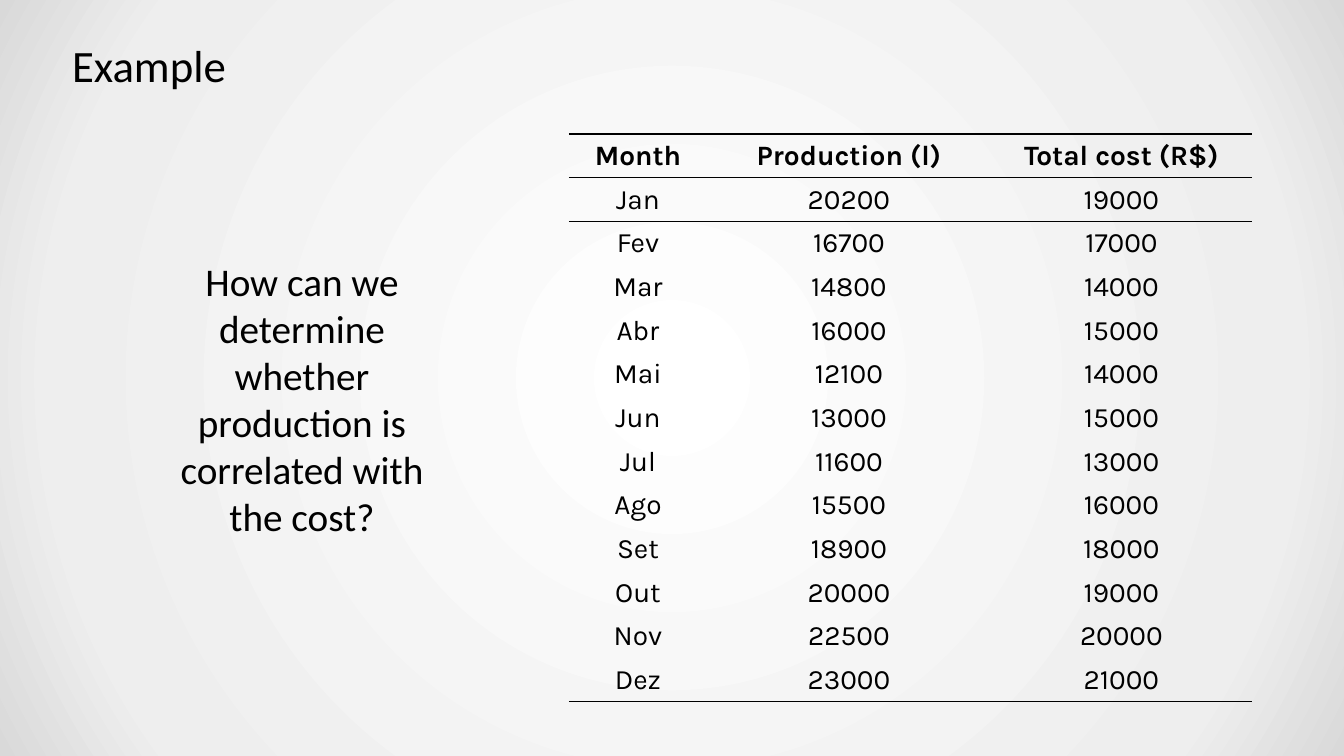
"""Build the production and cost example slide."""
from dataclasses import dataclass

from pptx import Presentation
from pptx.dml.color import RGBColor
from pptx.enum.text import MSO_ANCHOR as Anchor, MSO_AUTO_SIZE as AutoSize, PP_ALIGN as Align
from pptx.oxml import parse_xml
from pptx.oxml.ns import nsdecls
from pptx.util import Pt

WIDTH, HEIGHT = 1344, 756
SCALE = 12192000 / WIDTH
NO_STYLE = "{2D5ABB26-0587-4C30-8999-92F81FD0307C}"

HEADINGS = ("Month", "Production (l)", "Total cost (R$)")
MONTHS = (
    ("Jan", 20200, 19000),
    ("Fev", 16700, 17000),
    ("Mar", 14800, 14000),
    ("Abr", 16000, 15000),
    ("Mai", 12100, 14000),
    ("Jun", 13000, 15000),
    ("Jul", 11600, 13000),
    ("Ago", 15500, 16000),
    ("Set", 18900, 18000),
    ("Out", 20000, 19000),
    ("Nov", 22500, 20000),
    ("Dez", 23000, 21000),
)


@dataclass(frozen=True)
class Theme:
    """Colours, fonts and type sizes."""

    ink: str = "000000"
    backdrop: tuple = ((0, "FFFFFF"), (81, "EEEEEE"), (100, "D9D9D9"))
    body_font: str = "Calibri"
    table_font: str = "Karla"
    title_size: int = 32
    question_size: int = 28
    table_size: int = 20
    rule_width: int = 1


def px(length):
    """Turn px into EMU."""
    return round(length * SCALE)


class SlideBuilder:
    """Draw styled elements on one slide."""

    def __init__(self, page, theme):
        """Keep the slide and its style."""
        self.page = page
        self.theme = theme

    def backdrop(self):
        """Fill the background with a circular gradient."""
        stops = "".join(
            f'<a:gs pos="{place * 1000}"><a:srgbClr val="{colour}"/></a:gs>'
            for place, colour in self.theme.backdrop
        )
        self.page.element.cSld.insert(0, parse_xml(
            f'<p:bg {nsdecls("p", "a")}><p:bgPr><a:gradFill rotWithShape="1">'
            f'<a:gsLst>{stops}</a:gsLst><a:path path="circle">'
            '<a:fillToRect l="50000" t="50000" r="50000" b="50000"/></a:path>'
            '</a:gradFill><a:effectLst/></p:bgPr></p:bg>'
        ))

    def span(self, para, words, size, font, bold=False):
        """Add one styled run."""
        span = para.add_run()
        span.text = words
        span.font.size = Pt(size)
        span.font.name = font
        span.font.bold = bold
        span.font.color.rgb = RGBColor.from_string(self.theme.ink)

    def title(self, words, left, top, width, height):
        """Place and format the title placeholder."""
        box = self.page.shapes.title
        box.left, box.top, box.width, box.height = map(px, (left, top, width, height))
        frame = box.text_frame
        frame.auto_size = AutoSize.NONE
        frame.vertical_anchor = Anchor.MIDDLE
        frame.margin_left = frame.margin_right = px(13)
        frame.margin_top = frame.margin_bottom = px(7)
        para = frame.paragraphs[0]
        para.alignment = Align.LEFT
        self.span(para, words, self.theme.title_size, self.theme.body_font)

    def text(self, words, left, top, width, height):
        """Add a centred text box."""
        box = self.page.shapes.add_textbox(*map(px, (left, top, width, height)))
        frame = box.text_frame
        frame.word_wrap = True
        frame.auto_size = AutoSize.SHAPE_TO_FIT_TEXT
        para = frame.paragraphs[0]
        para.alignment = Align.CENTER
        self.span(para, words, self.theme.question_size, self.theme.body_font)

    def border(self, cell, side):
        """Rule one side of a cell."""
        cell._tc.get_or_add_tcPr().append(parse_xml(
            f'<a:{side} {nsdecls("a")} w="{Pt(self.theme.rule_width)}"><a:solidFill>'
            f'<a:srgbClr val="{self.theme.ink}"/></a:solidFill></a:{side}>'
        ))

    def cell(self, cell, words, bold):
        """Fill one table cell with centred text."""
        cell.fill.background()
        cell.vertical_anchor = Anchor.BOTTOM
        para = cell.text_frame.paragraphs[0]
        para.alignment = Align.CENTER
        self.span(para, words, self.theme.table_size, self.theme.table_font, bold)

    def table(self, rows, left, top, widths, height):
        """Add a table ruled around its header and at its foot."""
        frame = self.page.shapes.add_table(
            len(rows), len(widths), *map(px, (left, top, sum(widths), height))
        )
        table = frame.table
        table.first_row = table.horz_banding = False
        table._tbl.tblPr[0].text = NO_STYLE
        for column, width in zip(table.columns, widths):
            column.width = px(width)
        for r, row in enumerate(rows):
            for c, value in enumerate(row):
                cell = table.cell(r, c)
                if r in (0, 1):
                    self.border(cell, "lnT")
                if r in (0, len(rows) - 1):
                    self.border(cell, "lnB")
                self.cell(cell, str(value), bold=r == 0)


def main():
    """Build and save the deck."""
    deck = Presentation()
    deck.slide_width, deck.slide_height = px(WIDTH), px(HEIGHT)
    slide = SlideBuilder(deck.slides.add_slide(deck.slide_layouts[5]), Theme())
    slide.backdrop()
    slide.title("Example", 59, 30, 1192, 70)
    slide.table((HEADINGS, *MONTHS), 569, 134, (138, 284, 261), 568)
    slide.text(
        "How can we determine whether production is correlated with the cost?",
        167, 252, 270, 295,
    )
    deck.save("out.pptx")


if __name__ == "__main__":
    main()
